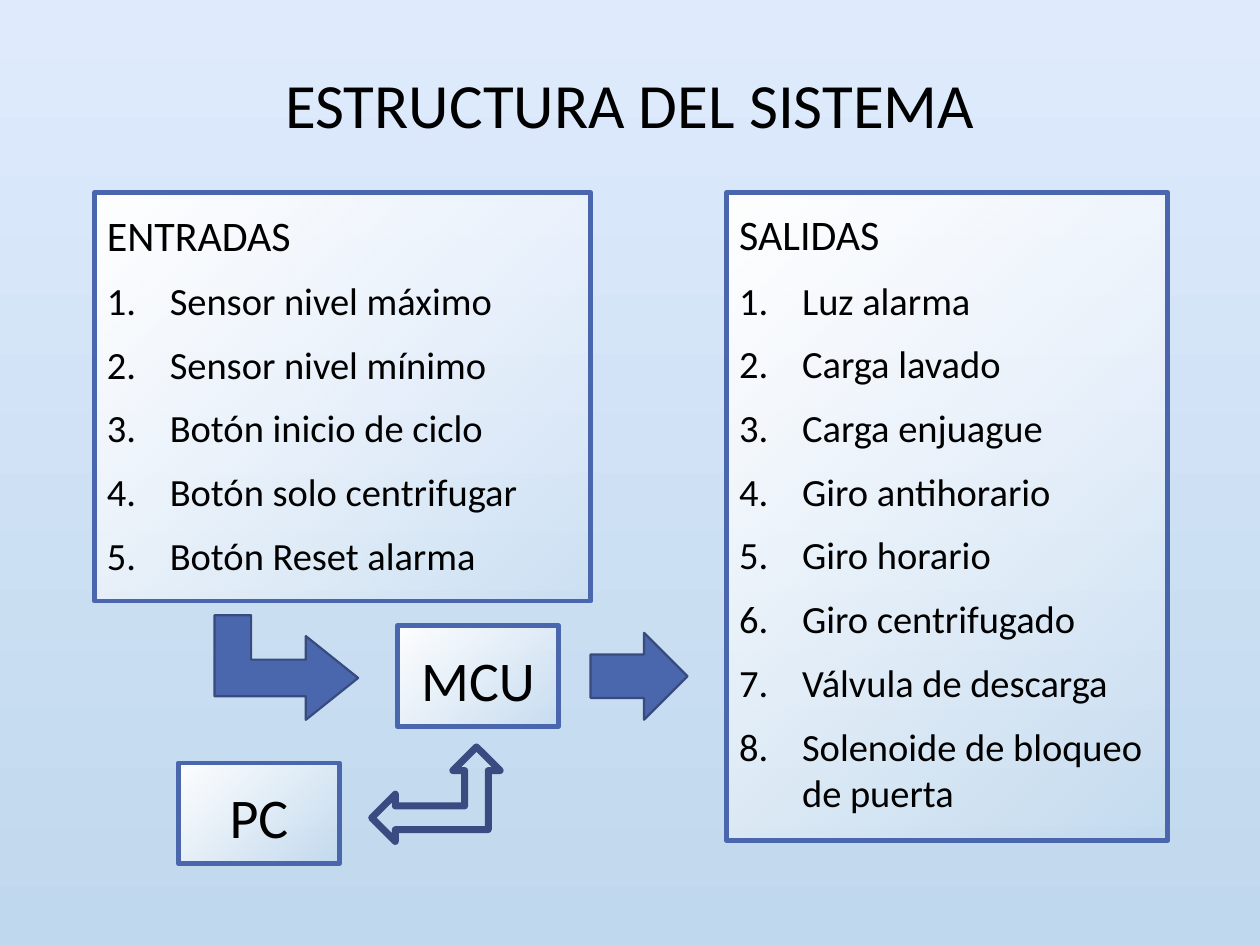
from dataclasses import dataclass

from lxml import etree
from pptx import Presentation
from pptx.dml.color import RGBColor
from pptx.enum.shapes import MSO_SHAPE
from pptx.enum.text import MSO_ANCHOR, PP_ALIGN
from pptx.oxml.ns import qn
from pptx.util import Pt

RECT, RIGHT = MSO_SHAPE.RECTANGLE, MSO_SHAPE.RIGHT_ARROW
BENT, LEFT_UP = MSO_SHAPE.BENT_UP_ARROW, MSO_SHAPE.LEFT_UP_ARROW
TOP, MIDDLE = MSO_ANCHOR.TOP, MSO_ANCHOR.MIDDLE
ALIGN_LEFT, CENTER = PP_ALIGN.LEFT, PP_ALIGN.CENTER
TITLE_ONLY = 5


@dataclass(frozen=True)
class Theme:
    font: str = "Calibri"
    text: str = "000000"
    white: str = "FFFFFF"
    sky_top: str = "DFEBFD"
    sky_bottom: str = "C0D8ED"
    blue: str = "4A66AC"
    arrow_edge: str = "374B7F"
    outline: str = "384C81"
    title_size: float = 36
    heading_size: float = 24
    item_size: float = 22
    label_size: float = 32
    box_line: float = 2.75
    indent: float = 36


@dataclass(frozen=True)
class Box:
    left: float
    top: float
    width: float
    height: float
    heading: str
    items: tuple[str, ...] = ()


@dataclass(frozen=True)
class Arrow:
    kind: MSO_SHAPE
    left: float
    top: float
    width: float
    height: float
    fill: str | None
    edge: str
    weight: float
    rotation: float = 0
    adjustments: tuple[float, ...] = ()


T = Theme()

BOXES = (
    Box(415.3, 110, 252, 370.3, "SALIDAS", (
        "Luz alarma", "Carga lavado", "Carga enjuague", "Giro antihorario",
        "Giro horario", "Giro centrifugado", "Válvula de descarga",
        "Solenoide de bloqueo de puerta")),
    Box(54, 110.2, 283.7, 233.3, "ENTRADAS", (
        "Sensor nivel máximo", "Sensor nivel mínimo", "Botón inicio de ciclo",
        "Botón solo centrifugar", "Botón Reset alarma")),
    Box(227.2, 357.6, 92, 57.6, "MCU"),
    Box(102, 436, 92, 57.6, "PC"),
)

ARROWS = (
    Arrow(RIGHT, 337.5, 361.6, 55.4, 49.7, T.blue, T.arrow_edge, 1.25),
    Arrow(BENT, 133.7, 340.4, 59.8, 82.1, T.blue, T.arrow_edge, 1.25,
          90, (0.35, 0.4, 0.5)),
    Arrow(LEFT_UP, 212.4, 426.8, 73.4, 54, None, T.outline, 4),
)


def set_gradient(fill, start: str, end: str, angle: float) -> None:
    fill.gradient()
    fill.gradient_angle = angle
    for stop, color in zip(fill.gradient_stops, (start, end)):
        stop.color.rgb = RGBColor.from_string(color)


def format_paragraph(p, size: float, align, spacing: float, before: float) -> None:
    p.alignment = align
    p.line_spacing = spacing
    p.space_before = Pt(before)
    for r in p.runs:
        r.font.name = T.font
        r.font.size = Pt(size)
        r.font.color.rgb = RGBColor.from_string(T.text)


def number_paragraph(p) -> None:
    pPr = p._p.get_or_add_pPr()
    pPr.set("marL", str(Pt(T.indent)))
    pPr.set("indent", str(-Pt(T.indent)))
    color = etree.SubElement(pPr, qn("a:buClr"))
    etree.SubElement(color, qn("a:srgbClr"), val=T.text)
    etree.SubElement(pPr, qn("a:buFont"), typeface=T.font)
    etree.SubElement(pPr, qn("a:buAutoNum"), type="arabicPeriod")


def add_shape(s, kind, part: Box | Arrow, edge: str, weight: float):
    sp = s.shapes.add_shape(kind, Pt(part.left), Pt(part.top),
                            Pt(part.width), Pt(part.height))
    sp.shadow.inherit = False
    sp.line.color.rgb = RGBColor.from_string(edge)
    sp.line.width = Pt(weight)
    return sp


def add_box(s, box: Box) -> None:
    sp = add_shape(s, RECT, box, T.blue, T.box_line)
    # White fades to clear towards the lower right corner
    set_gradient(sp.fill, T.white, T.white, 315)
    last_stop = list(sp._element.spPr.iter(qn("a:gs")))[-1]
    etree.SubElement(last_stop[0], qn("a:alpha"), val="0")

    tf = sp.text_frame
    tf.word_wrap = True
    tf.vertical_anchor = TOP
    tf.text = box.heading
    size, align = ((T.heading_size, ALIGN_LEFT) if box.items
                   else (T.label_size, CENTER))
    format_paragraph(tf.paragraphs[0], size, align, 1.2, 10)
    for item in box.items:
        p = tf.add_paragraph()
        p.text = item
        format_paragraph(p, T.item_size, ALIGN_LEFT, 1.0, 10)
        number_paragraph(p)


def add_arrow(s, arrow: Arrow) -> None:
    sp = add_shape(s, arrow.kind, arrow, arrow.edge, arrow.weight)
    sp.rotation = arrow.rotation
    for i, value in enumerate(arrow.adjustments):
        sp.adjustments[i] = value
    if arrow.fill is None:
        sp.fill.background()
    else:
        sp.fill.solid()
        sp.fill.fore_color.rgb = RGBColor.from_string(arrow.fill)


def add_title(s, text: str) -> None:
    title = s.shapes.title
    title.left, title.top, title.width, title.height = (
        Pt(54), Pt(21), Pt(612), Pt(81))
    tf = title.text_frame
    tf.text = text
    tf.vertical_anchor = MIDDLE
    format_paragraph(tf.paragraphs[0], T.title_size, CENTER, 0.9, 0)


def main() -> None:
    prs = Presentation()
    prs.slide_width, prs.slide_height = Pt(720), Pt(540)
    s = prs.slides.add_slide(prs.slide_layouts[TITLE_ONLY])
    set_gradient(s.background.fill, T.sky_top, T.sky_bottom, 270)
    add_title(s, "ESTRUCTURA DEL SISTEMA")

    # Inputs, outputs and the two processing units
    for box in BOXES:
        add_box(s, box)
    # Flow between them
    for arrow in ARROWS:
        add_arrow(s, arrow)
    prs.save("out.pptx")


if __name__ == "__main__":
    main()
